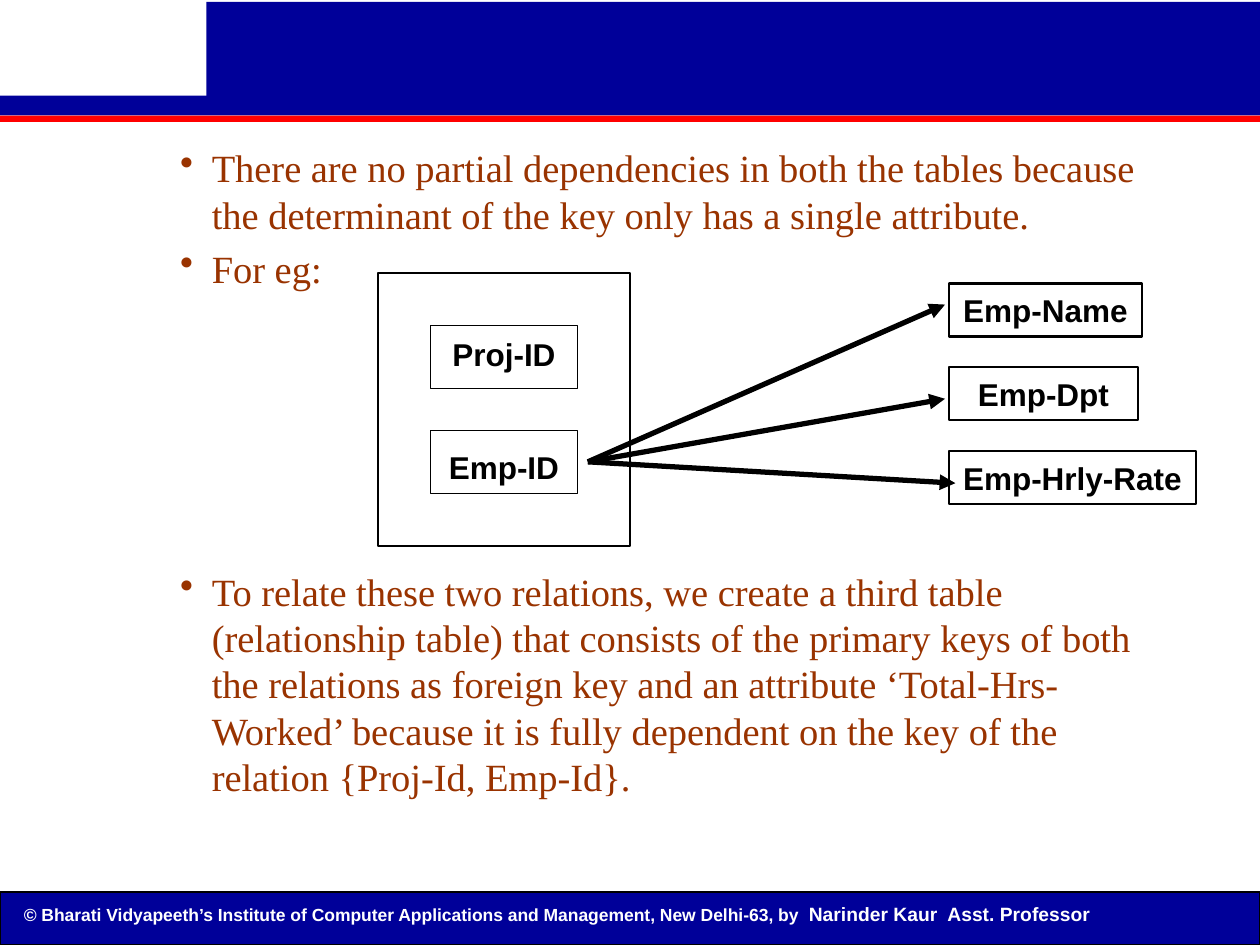
import pptx
import pptx.util
import pptx.dml.color
import pptx.enum.shapes
import pptx.enum.text
import pptx.oxml.ns
import lxml.etree

Cm = pptx.util.Cm
Pt = pptx.util.Pt
qn = pptx.oxml.ns.qn
Align = pptx.enum.text.PP_ALIGN
Anchor = pptx.enum.text.MSO_ANCHOR

HUES = {"navy": "000099", "red": "FF0000", "rust": "993300",
        "black": "000000", "white": "FFFFFF"}
LABEL = {"name": "Arial", "size": Pt(18), "bold": True}
PROSE = {"name": "Times New Roman", "size": Pt(22)}
SMALL = {"name": "Arial", "size": Pt(10), "bold": True}
CREDIT = {**SMALL, "size": Pt(11)}


def apply(target, values):
    for key, value in values.items():
        setattr(target, key, value)


def color(name):
    return pptx.dml.color.RGBColor.from_string(HUES[name])


class Page:
    def __init__(self, deck):
        self.slide = deck.slides.add_slide(deck.slide_layouts[6])
        self.shapes = self.slide.shapes

    def phrase(self, para, text, font, hue):
        run = para.add_run()
        run.text = text
        apply(run.font, font)
        run.font.color.rgb = color(hue)

    def box(self, place, fill=None, edge=None, text=None, **frame):
        kind = pptx.enum.shapes.MSO_SHAPE.RECTANGLE
        shape = self.shapes.add_shape(kind, *map(Cm, place))
        shape.shadow.inherit = False
        if fill:
            shape.fill.solid()
            shape.fill.fore_color.rgb = color(fill)
        else:
            shape.fill.background()
        if edge:
            shape.line.color.rgb = color("black")
            shape.line.width = Pt(edge)
        else:
            shape.line.fill.background()
        if text:
            apply(shape.text_frame, {"word_wrap": False,
                                     "vertical_anchor": Anchor.MIDDLE, **frame})
            para = shape.text_frame.paragraphs[0]
            para.alignment = Align.CENTER
            self.phrase(para, text, LABEL, "black")

    def text(self, place):
        frame = self.shapes.add_textbox(*map(Cm, place)).text_frame
        frame.word_wrap = True
        return frame

    def list(self, place, items):
        frame = self.text(place)
        for rank, (text, gap) in enumerate(items):
            para = frame.add_paragraph() if rank else frame.paragraphs[0]
            apply(para, {"line_spacing": Pt(26.5), "space_before": Pt(gap)})
            props = para._p.get_or_add_pPr()
            props.set("marL", str(Cm(3.18)))
            props.set("indent", str(Cm(-0.64)))
            lxml.etree.SubElement(props, qn("a:buChar")).set("char", "•")
            self.phrase(para, text, PROSE, "rust")

    def arrow(self, start, end):
        kind = pptx.enum.shapes.MSO_CONNECTOR.STRAIGHT
        line = self.shapes.add_connector(kind, *map(Cm, start + end))
        line.line.color.rgb = color("black")
        line.line.width = Pt(3)
        edge = line._element.spPr.find(qn("a:ln"))
        lxml.etree.SubElement(edge, qn("a:tailEnd")).set("type", "triangle")
        lxml.etree.SubElement(line._element.spPr, qn("a:effectLst"))


def main():
    deck = pptx.Presentation()
    apply(deck, {"slide_width": Cm(25.4), "slide_height": Cm(19.05)})
    page = Page(deck)

    page.box((0, 1.93, 25.4, 0.4), "navy")
    page.box((0, 2.33, 25.4, 0.13), "red")
    page.box((4.16, 0.04, 21.24, 1.93), "navy")
    page.box((0, 17.98, 25.4, 1.07), "navy", 0.75)
    foot = page.text((0.23, 18.06, 23.32, 0.71)).paragraphs[0]
    page.phrase(foot, "© Bharati Vidyapeeth’s Institute of Computer Applications "
                "and Management, New Delhi-63, by", SMALL, "white")
    page.phrase(foot, "  Narinder Kaur  Asst. Professor", CREDIT, "white")

    page.list((0.84, 2.78, 22.86, 14.6), [
        ("There are no partial dependencies in both the tables because the "
         "determinant of the key only has a single attribute.", 0),
        ("For eg:", 4.4),
        ("To relate these two relations, we create a third table (relationship "
         "table) that consists of the primary keys of both the relations as "
         "foreign key and an attribute ‘Total-Hrs-Worked’ because it is fully "
         "dependent on the key of the relation {Proj-Id, Emp-Id}.", 158),
    ])

    page.box((7.62, 5.5, 5.08, 5.51), edge=1)
    page.box((8.68, 6.56, 2.96, 1.27), edge=0.75, text="Proj-ID",
             margin_top=Cm(0.13), margin_bottom=Cm(0.25))
    page.box((8.68, 8.68, 2.96, 1.27), edge=0.75, text="Emp-ID",
             margin_top=Cm(0.33), margin_bottom=Cm(0.13))

    fields = [("Emp-Name", 3.89, (19.05, 6.14)),
              ("Emp-Dpt", 3.81, (19.05, 8.04)),
              ("Emp-Hrly-Rate", 4.98, (19.26, 9.74))]
    for rank, (name, width, tip) in enumerate(fields):
        page.arrow((11.85, 9.31), tip)
        page.box((19.13, 5.71 + 1.69 * rank, width, 1.07), edge=1.5, text=name)

    deck.save("out.pptx")


if __name__ == "__main__":
    main()
